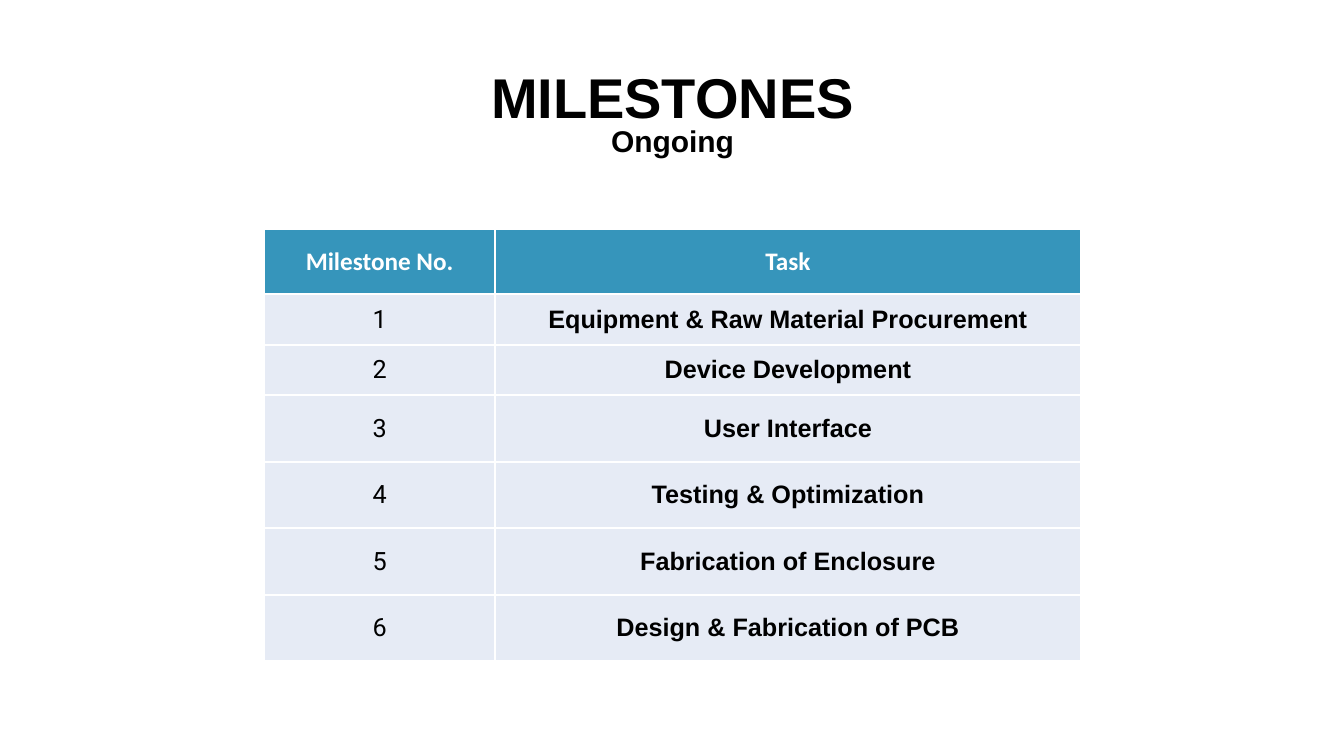
import pptx
import pptx.util
import pptx.dml.color
import pptx.enum.text
import pptx.oxml
import pptx.oxml.ns
import lxml.etree

Inches = pptx.util.Inches
HUES = {"ink": "000000", "head": "3695BB", "body": "456AB5", "edge": "FFFFFF"}
TASKS = [
    "Equipment & Raw Material Procurement",
    "Device Development",
    "User Interface",
    "Testing & Optimization",
    "Fabrication of Enclosure",
    "Design & Fabrication of PCB",
]
WIDTHS = [2.29, 5.81]
HEIGHTS = [0.65] + [0.5] * 2 + [0.66] * 4


class Deck:
    heads = {"name": "Calibri", "size": 18, "bold": True, "hue": "edge"}
    nums = {"name": "Roboto", "size": 18, "bold": False, "hue": "ink"}
    tasks = {"name": "Arial", "size": 18, "bold": True, "hue": "ink"}

    def __init__(self):
        self.show = pptx.Presentation()
        self.show.slide_width = Inches(13.33)
        self.show.slide_height = Inches(7.5)
        self.slide = self.show.slides.add_slide(self.show.slide_layouts[6])

    def color(self, hue):
        return pptx.dml.color.RGBColor.from_string(HUES[hue])

    def label(self, para, text, style):
        para.alignment = pptx.enum.text.PP_ALIGN.CENTER
        run = para.add_run()
        run.text = text
        form = {"name": style["name"], "size": pptx.util.Pt(style["size"]),
                "bold": style["bold"]}
        for key, value in form.items():
            setattr(run.font, key, value)
        run.font.color.rgb = self.color(style["hue"])

    def title(self, top, sub):
        box = self.slide.shapes.add_textbox(
            Inches(0.92), Inches(0.66), Inches(11.5), Inches(1))
        frame = box.text_frame
        form = {"word_wrap": True,
                "vertical_anchor": pptx.enum.text.MSO_ANCHOR.MIDDLE}
        for key, value in form.items():
            setattr(frame, key, value)
        para = frame.paragraphs[0]
        para.line_spacing = 0.8
        self.label(para, top, {**self.tasks, "size": 40})
        para.add_line_break()
        self.label(para, sub, {**self.tasks, "size": 21.4})

    def border(self, cell):
        props = cell._tc.get_or_add_tcPr()
        for spot, side in enumerate("LRTB"):
            line = pptx.oxml.parse_xml(
                f'<a:ln{side} {pptx.oxml.ns.nsdecls("a")} w="19050"><a:solidFill>'
                f'<a:srgbClr val="{HUES["edge"]}"/></a:solidFill></a:ln{side}>')
            props.insert(spot, line)

    def cell(self, cell, text, style, hue, alpha=None):
        form = {"vertical_anchor": pptx.enum.text.MSO_ANCHOR.MIDDLE}
        for side in ("left", "right", "top", "bottom"):
            form[f"margin_{side}"] = Inches(0.1)
        for key, value in form.items():
            setattr(cell, key, value)
        cell.fill.solid()
        cell.fill.fore_color.rgb = self.color(hue)
        if alpha:
            tint = cell._tc.tcPr.find(".//" + pptx.oxml.ns.qn("a:srgbClr"))
            lxml.etree.SubElement(
                tint, pptx.oxml.ns.qn("a:alpha"), val=str(alpha * 1000))
        self.border(cell)
        self.label(cell.text_frame.paragraphs[0], text, style)

    def table(self, heads, tasks):
        grid = self.slide.shapes.add_table(
            len(HEIGHTS), len(WIDTHS), Inches(2.62), Inches(2.27),
            Inches(sum(WIDTHS)), Inches(sum(HEIGHTS))).table
        for col, width in zip(grid.columns, WIDTHS):
            col.width = Inches(width)
        for row, height in zip(grid.rows, HEIGHTS):
            row.height = Inches(height)
        for col, text in enumerate(heads):
            self.cell(grid.cell(0, col), text, self.heads, "head")
        for row, task in enumerate(tasks, 1):
            self.cell(grid.cell(row, 0), str(row), self.nums, "body", 13)
            self.cell(grid.cell(row, 1), task, self.tasks, "body", 13)


def main():
    deck = Deck()
    deck.title("MILESTONES", "Ongoing")
    deck.table(["Milestone No.", "Task"], TASKS)
    deck.show.save("out.pptx")


if __name__ == "__main__":
    main()
